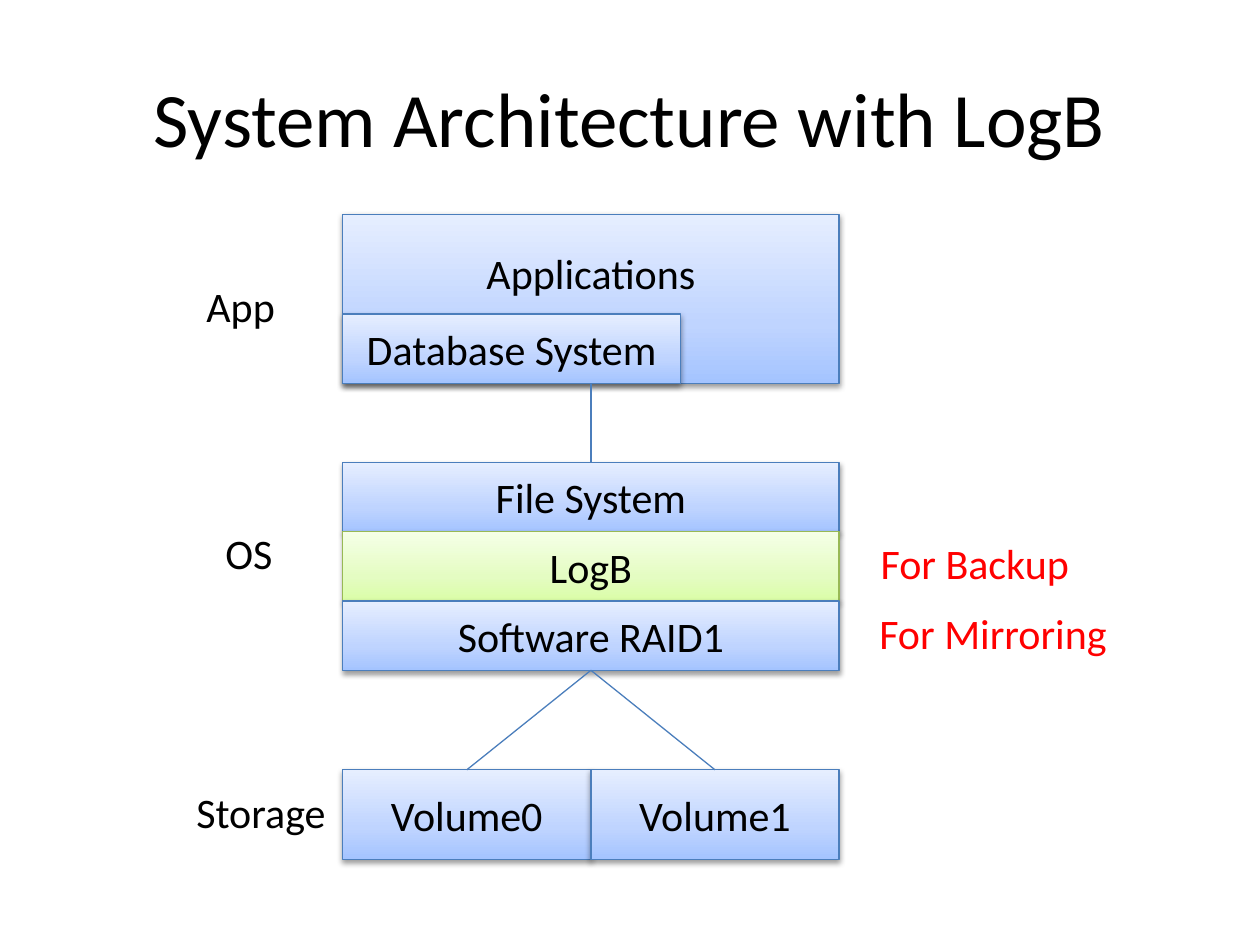
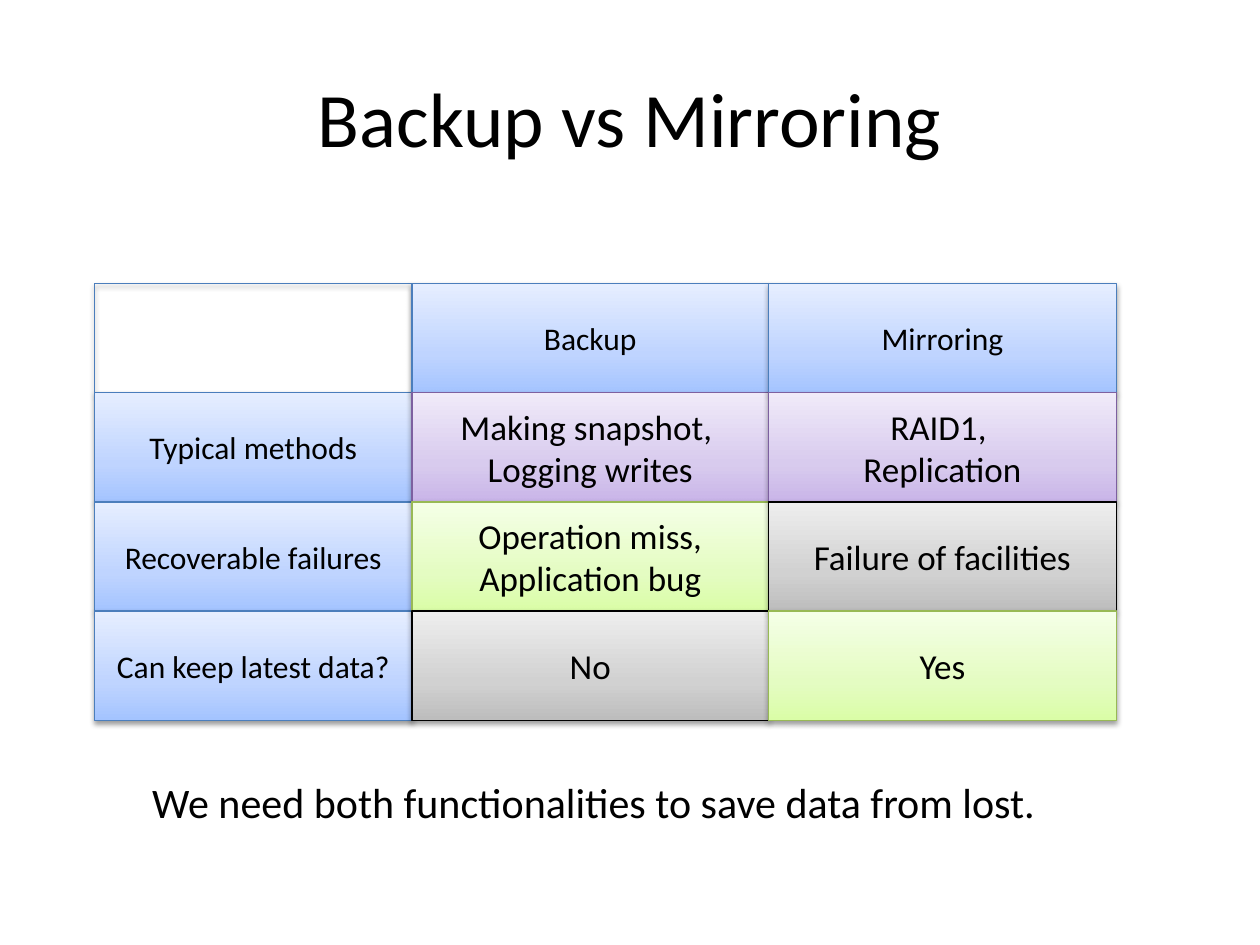
from lxml import etree
from pptx import Presentation
from pptx.dml.color import RGBColor
from pptx.enum.shapes import MSO_CONNECTOR, MSO_SHAPE
from pptx.enum.text import MSO_ANCHOR, PP_ALIGN
from pptx.oxml import parse_xml
from pptx.oxml.ns import qn
from pptx.util import Pt

RECTANGLE = MSO_SHAPE.RECTANGLE
STRAIGHT = MSO_CONNECTOR.STRAIGHT
MIDDLE, TOP = MSO_ANCHOR.MIDDLE, MSO_ANCHOR.TOP
CENTER, LEFT = PP_ALIGN.CENTER, PP_ALIGN.LEFT

FONT = "Calibri"
LINE_WIDTH = 0.75
COLORS = {"text": "000000", "note": "FF0000",
          "blue": "4B7EBC", "green": "98B955", "purple": "7D60A0", "gray": "000000"}
# Gradient stops from bottom to top
GRADIENTS = {"blue": ("A4C4FF", "BFD4FF", "E6EEFF"),
             "green": ("DAFDA7", "E4FCC2", "F5FFE7"),
             "purple": ("C9B5E8", "D8CBEE", "F0EAF9"),
             "gray": ("BDBDBD", "D1D1D1", "EEEEEE")}
STOPS = (0, 35000, 100000)
DRAWING_NS = 'xmlns:a="http://schemas.openxmlformats.org/drawingml/2006/main"'
SHADOW = (f'<a:outerShdw {DRAWING_NS} blurRad="40000" dist="20000" dir="5400000" '
          'rotWithShape="0"><a:srgbClr val="000000"><a:alpha val="38000"/>'
          '</a:srgbClr></a:outerShdw>')


def write_text(shape, lines, size, color="text", align=CENTER, anchor=MIDDLE, wrap=True):
    """Write one paragraph per line into a shape or text box."""
    frame = shape.text_frame
    frame.word_wrap = wrap
    frame.vertical_anchor = anchor
    for index, line in enumerate(lines):
        paragraph = frame.add_paragraph() if index else frame.paragraphs[0]
        paragraph.alignment = align
        run = paragraph.add_run()
        run.text = line
        run.font.name = FONT
        run.font.size = Pt(size)
        run.font.color.rgb = RGBColor.from_string(COLORS[color])


def add_block(slide, box, lines, size, theme="blue", filled=True):
    """Add a shadowed rectangle with a vertical gradient and centred text."""
    block = slide.shapes.add_shape(RECTANGLE, *map(Pt, box))
    block.line.color.rgb = RGBColor.from_string(COLORS[theme])
    block.line.width = Pt(LINE_WIDTH)
    block.shadow.inherit = False
    properties = block._element.spPr
    properties.find(qn("a:effectLst")).append(parse_xml(SHADOW))
    if filled:
        stops = "".join(f'<a:gs pos="{pos}"><a:srgbClr val="{shade}"/></a:gs>'
                        for pos, shade in zip(STOPS, GRADIENTS[theme]))
        properties.find(qn("a:prstGeom")).addnext(parse_xml(
            f'<a:gradFill {DRAWING_NS} rotWithShape="1"><a:gsLst>{stops}</a:gsLst>'
            '<a:lin ang="16200000" scaled="0"/></a:gradFill>'))
    else:
        block.fill.background()
    write_text(block, lines, size)
    return block


deck = Presentation()
deck.slide_width, deck.slide_height = Pt(720), Pt(540)
blank = deck.slide_layouts[6]

slides = []
for heading in ("System Architecture with LogB", "Backup vs Mirroring"):
    slide = deck.slides.add_slide(blank)
    title = slide.shapes.add_textbox(Pt(36), Pt(21.6), Pt(648), Pt(90))
    write_text(title, [heading], 44)
    slides.append(slide)
architecture, comparison = slides

# Architecture: three tiers sharing one left edge and width
stack_left, stack_width, layer_height = 195.84, 283.68, 39.6
stack_middle = stack_left + stack_width / 2
app_top, app_height = 122.4, 96.6
app_bottom = app_top + app_height
os_top = 264.24
os_bottom = os_top + 3 * layer_height
volume_top, volume_width, volume_height = 439.92, stack_width / 2, 51.1

applications = add_block(architecture, (stack_left, app_top, stack_width, app_height),
                         ["Applications"], 24)
applications.text_frame.margin_bottom = Pt(32.9)  # room for the database block
add_block(architecture, (stack_left, app_bottom - layer_height, 192.96, layer_height),
          ["Database System"], 24)

layers = [("File System", "blue"), ("LogB", "green"), ("Software RAID1", "blue")]
for row, (layer, theme) in enumerate(layers):
    add_block(architecture,
              (stack_left, os_top + row * layer_height, stack_width, layer_height),
              [layer], 24, theme)

links = [(stack_middle, app_bottom, stack_middle, os_top)]
for column in range(2):
    volume_left = stack_left + column * volume_width
    add_block(architecture, (volume_left, volume_top, volume_width, volume_height),
              [f"Volume{column}"], 24)
    links.append((stack_middle, os_bottom, volume_left + volume_width / 2, volume_top))

for ends in links:
    link = architecture.shapes.add_connector(STRAIGHT, *map(Pt, ends))
    link.line.color.rgb = RGBColor.from_string(COLORS["blue"])
    link.line.width = Pt(LINE_WIDTH)
    etree.SubElement(link._element.spPr, qn("a:effectLst"))

# Comparison: a grid of blocks, column by column
grid_top, row_height = 162, 62.4
column_edges = (54, 235.44, 439.2, 637.92)
columns = [
    [([], None), (["Typical methods"], "blue"),
     (["Recoverable failures"], "blue"), (["Can keep latest data?"], "blue")],
    [(["Backup"], "blue"), (["Making snapshot, ", "Logging writes"], "purple"),
     (["Operation miss,", "Application bug"], "green"), (["No"], "gray")],
    [(["Mirroring"], "blue"), (["RAID1, ", "Replication"], "purple"),
     (["Failure of facilities"], "gray"), (["Yes"], "green")],
]
for left, right, cells in zip(column_edges, column_edges[1:], columns):
    for row, (lines, theme) in enumerate(cells):
        add_block(comparison, (left, grid_top + row * row_height, right - left, row_height),
                  lines, 18 if theme == "blue" else 20, theme or "blue", theme is not None)

# Free-standing labels on both slides
labels = [
    (architecture, "App", 110.88, 156.96, 54, "text"),
    (architecture, "OS", 121.68, 298.08, 41.76, "text"),
    (architecture, "Storage", 105.12, 445.68, 89.28, "text"),
    (architecture, "For Backup", 496.08, 303.84, 123.12, "note"),
    (architecture, "For Mirroring", 495.36, 343.44, 145.44, "note"),
    (comparison, "We need both functionalities to save data from lost.",
     79.92, 439.92, 524.16, "text"),
]
for slide, words, left, top, width, color in labels:
    label = slide.shapes.add_textbox(Pt(left), Pt(top), Pt(width), Pt(36))
    write_text(label, [words], 24, color, LEFT, TOP, wrap=False)

deck.save("out.pptx")
